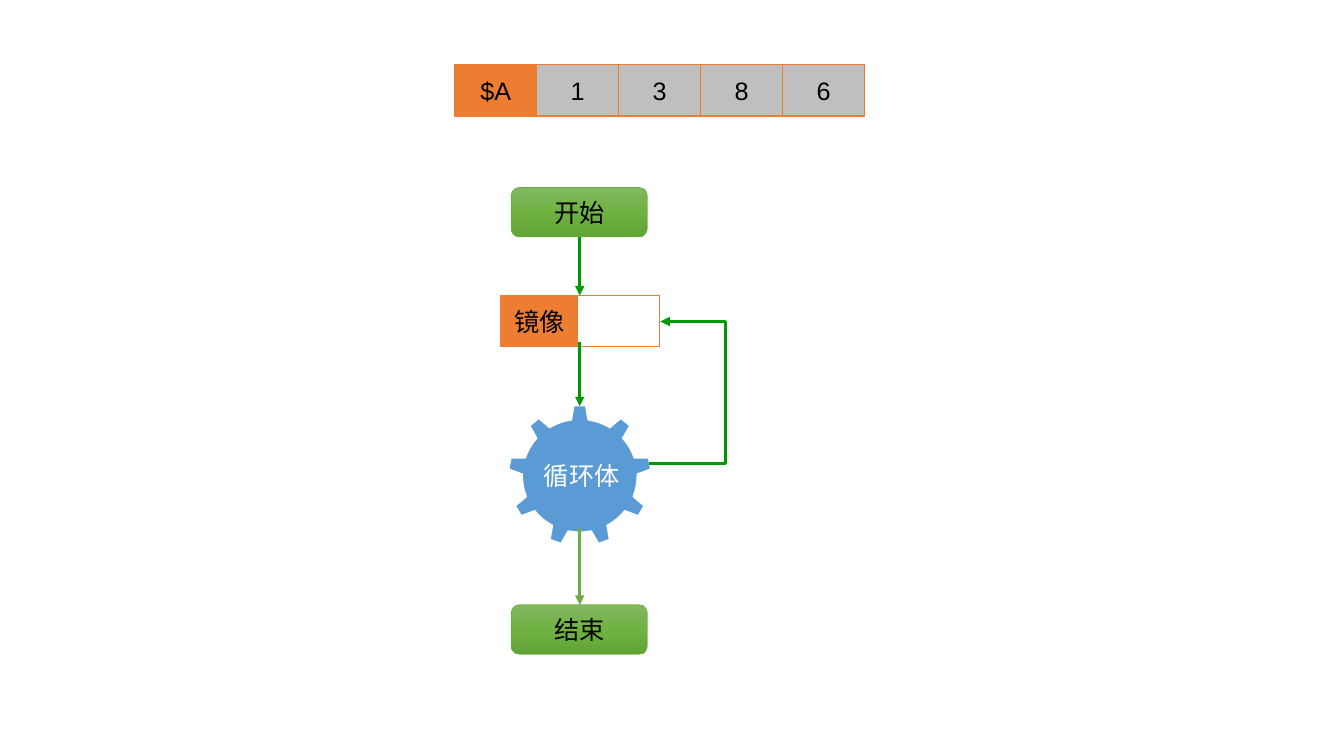
"""Builds a slide with an array row and the flow of a loop over its items."""
from copy import deepcopy
from dataclasses import dataclass

from lxml.etree import SubElement
from pptx import Presentation
from pptx.dml.color import RGBColor as Rgb
from pptx.enum.shapes import MSO_CONNECTOR as Link, MSO_SHAPE as Kind
from pptx.enum.text import MSO_ANCHOR as Anchor, PP_ALIGN as Align
from pptx.oxml.ns import qn
from pptx.util import Inches, Pt


@dataclass(frozen=True)
class Theme:
    orange: str = "ED7D31"
    grey: str = "BFBFBF"
    white: str = "FFFFFF"
    black: str = "000000"
    blue: str = "5B9BD5"
    leaf: str = "70AD47"
    green: str = "009900"
    fade: tuple[str, ...] = ("81B861", "6FB242", "62A336")
    latin: str = "Arial"
    asian: str = "Noto Sans CJK SC"
    size: float = 18
    edge: float = 1
    thin: float = 0.5
    thick: float = 2.25


THEME = Theme()


@dataclass(frozen=True)
class Box:
    left: float
    top: float
    wide: float
    high: float
    fill: str | tuple[str, ...]
    line: str
    text: str = ""
    kind: Kind = Kind.RECTANGLE
    edge: float = THEME.edge


@dataclass(frozen=True)
class Arrow:
    start: tuple[float, float]
    end: tuple[float, float]
    color: str = THEME.green
    bend: int | None = None


def apply(target, values: dict) -> None:
    """Set each named value on the target."""
    for name, value in values.items():
        setattr(target, name, value)


def write(shape, text: str, color: str, wrap: bool = True) -> None:
    """Put centred text in a shape."""
    frame = shape.text_frame
    apply(frame, {"word_wrap": wrap, "vertical_anchor": Anchor.MIDDLE})
    para = frame.paragraphs[0]
    para.alignment = Align.CENTER
    run = para.add_run()
    run.text = text
    apply(run.font, {"name": THEME.latin, "size": Pt(THEME.size)})
    run.font.color.rgb = Rgb.from_string(color)
    SubElement(run.font._element, qn("a:ea"), typeface=THEME.asian)


def shade(shape, tones: tuple[str, ...]) -> None:
    """Fill a shape from top to bottom with evenly spaced tones."""
    fill = shape.fill
    fill.gradient()
    fill.gradient_angle = 270
    stops = shape._element.spPr.find(".//" + qn("a:gsLst"))
    for _ in tones[2:]:
        stops.append(deepcopy(stops[-1]))
    for step, (stop, tone) in enumerate(zip(fill.gradient_stops, tones)):
        stop.position = step / (len(tones) - 1)
        stop.color.rgb = Rgb.from_string(tone)


def draw_box(slide, box: Box) -> None:
    """Draw one filled shape with its text."""
    place = map(Inches, (box.left, box.top, box.wide, box.high))
    shape = slide.shapes.add_shape(box.kind, *place)
    shape.shadow.inherit = False
    if isinstance(box.fill, tuple):
        shade(shape, box.fill)
    else:
        shape.fill.solid()
        shape.fill.fore_color.rgb = Rgb.from_string(box.fill)
    shape.line.color.rgb = Rgb.from_string(box.line)
    shape.line.width = Pt(box.edge)
    if box.text:
        write(shape, box.text, THEME.black)


def draw_arrow(slide, arrow: Arrow) -> None:
    """Draw one arrow, straight or bent."""
    kind = Link.STRAIGHT if arrow.bend is None else Link.ELBOW
    ends = map(Inches, arrow.start + arrow.end)
    link = slide.shapes.add_connector(kind, *ends)
    link.line.color.rgb = Rgb.from_string(arrow.color)
    link.line.width = Pt(THEME.thick)
    props = link._element.spPr
    SubElement(props.find(qn("a:ln")), qn("a:tailEnd"), type="triangle")
    SubElement(props, qn("a:effectLst"))
    if arrow.bend is not None:
        guides = props.find(".//" + qn("a:avLst"))
        SubElement(guides, qn("a:gd"), name="adj1", fmla=f"val {arrow.bend}")


def draw_label(slide, place: tuple[float, ...], text: str) -> None:
    """Draw white text that stays on one line."""
    label = slide.shapes.add_textbox(*map(Inches, place))
    write(label, text, THEME.white, wrap=False)


def main() -> None:
    """Build and save the slide."""
    deck = Presentation()
    apply(deck, {"slide_width": Inches(13.33), "slide_height": Inches(7.5)})
    slide = deck.slides.add_slide(deck.slide_layouts[6])

    pitch, high, axis = 0.813, 0.51, 5.75
    array = [
        Box(4.51 + pitch * col, 0.64, pitch, high,
            THEME.grey if col else THEME.orange, THEME.orange, text)
        for col, text in enumerate(("$A", "1", "3", "8", "6"))
    ]
    mirror = [
        Box(4.97, 2.93, 0.76, high, THEME.orange, THEME.orange, "镜像"),
        Box(5.73, 2.93, 0.81, high, THEME.white, THEME.orange),
    ]
    ends = [
        Box(5.07, top, 1.35, 0.49, THEME.fade, THEME.leaf, text,
            Kind.ROUNDED_RECTANGLE, THEME.thin)
        for top, text in ((1.86, "开始"), (6, "结束"))
    ]
    gear = Box(5.04, 4.02, 1.42, 1.4, THEME.blue, THEME.white, kind=Kind.GEAR_9)
    for box in (*array, *mirror, *ends, gear):
        draw_box(slide, box)
    draw_label(slide, (5.29, 4.52, 0.96, 0.4), "循环体")

    arrows = (
        Arrow((axis, 2.35), (axis, 2.93)),
        Arrow((axis, 3.39), (axis, 4.03)),
        Arrow((6.44, 4.6), (6.55, 3.19), bend=685000),
        Arrow((axis, 5.24), (axis, 6), THEME.leaf),
    )
    for arrow in arrows:
        draw_arrow(slide, arrow)
    deck.save("out.pptx")


main()
